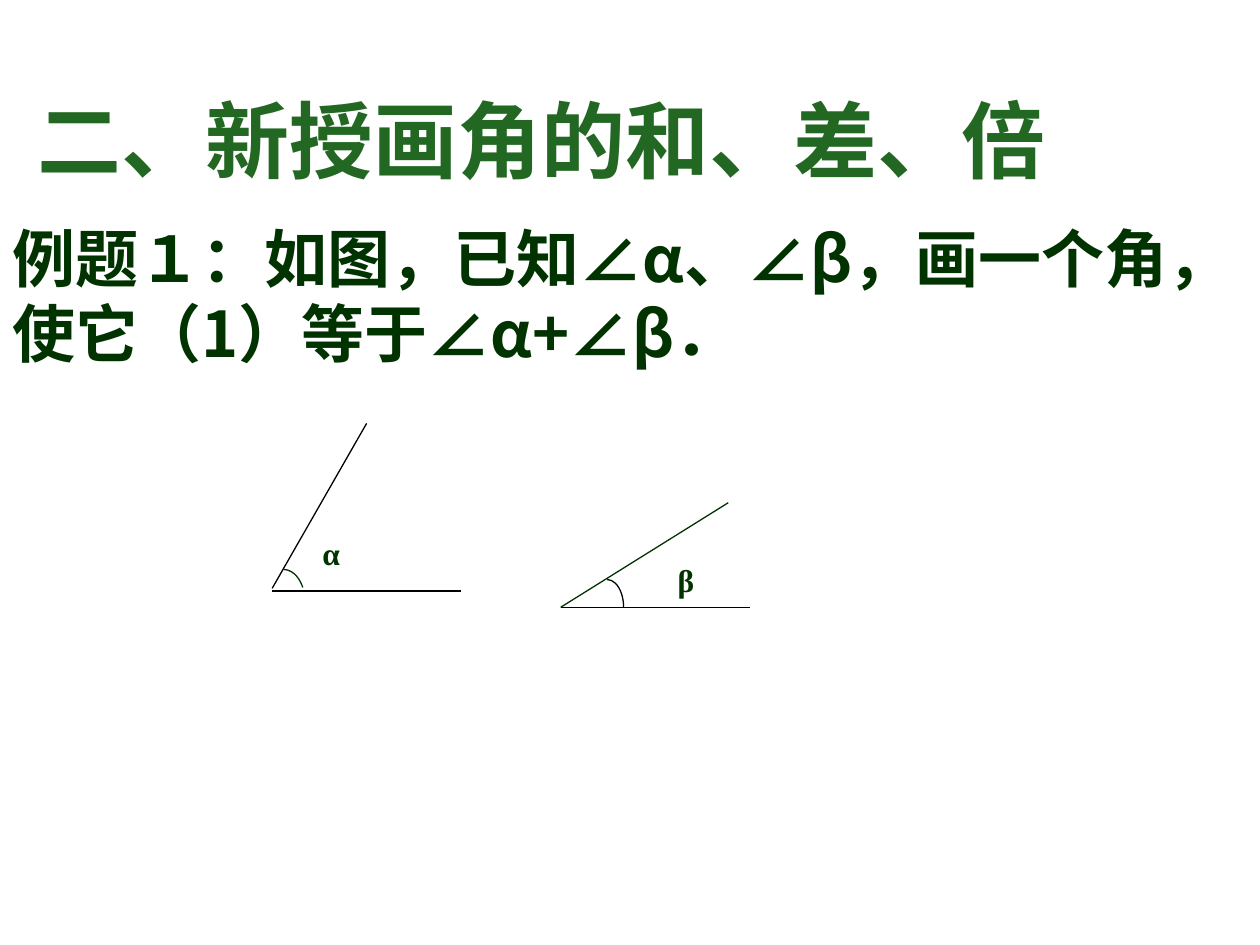
"""Build a lesson slide on drawing the sum of two angles."""
from pptx import Presentation
from pptx.dml.color import RGBColor
from pptx.enum.shapes import MSO_CONNECTOR as Conn, MSO_SHAPE as Kind
from pptx.enum.text import MSO_ANCHOR as Anchor, MSO_AUTO_SIZE as Fit, PP_ALIGN as Align
from pptx.oxml.ns import qn
from pptx.util import Inches, Pt


def tint(color, code):
    color.rgb = RGBColor.from_string(code)


def write(shape, text, size, face, code, align, anchor):
    frame = shape.text_frame
    traits = {"word_wrap": True, "auto_size": Fit.NONE, "vertical_anchor": anchor}
    for name, value in traits.items():
        setattr(frame, name, value)
    para = frame.paragraphs[0]
    para.alignment = align
    run = para.add_run()
    run.text = text
    for name, value in {"size": Pt(size), "name": face, "bold": True}.items():
        setattr(run.font, name, value)
    tint(run.font.color, code)
    east = run.font._element.makeelement(qn("a:ea"), {"typeface": face})
    run.font._element.find(qn("a:latin")).addnext(east)


deck = Presentation()
deck.slide_width, deck.slide_height = Inches(10), Inches(7.5)
slide = deck.slides.add_slide(deck.slide_layouts[5])
shapes = slide.shapes

title = shapes.title
place = {"left": 0.2, "top": 0.6, "width": 10, "height": 1}
for name, value in place.items():
    setattr(title, name, Inches(value))
write(title, "二、新授画角的和、差、倍", 48, "DejaVu Sans", "226822",
      Align.LEFT, Anchor.MIDDLE)

task = shapes.add_textbox(0, Inches(1.7), Inches(10), Inches(1.28))
write(task, "例题１：如图，已知∠α、∠β，画一个角，使它（1）等于∠α+∠β．",
      36, "Noto Sans CJK SC", "003300", Align.LEFT, Anchor.MIDDLE)

BLACK, GREEN = "000000", "003300"
angles = [
    {"sign": "β", "label": (5.28, 4.4, 0.5, 0.43),
     "rays": [((4.45, 4.82), (5.95, 4.82), BLACK), ((5.78, 3.99), (4.45, 4.82), GREEN)],
     "arc": (4.82, 4.82, 0.13, 0.22), "end": 0, "ink": BLACK},
    {"sign": "α", "label": (2.46, 4.19, 0.37, 0.38),
     "rays": [((2.16, 4.69), (3.66, 4.69), BLACK), ((2.16, 4.67), (2.91, 3.36), BLACK)],
     "arc": (2.25, 4.77, 0.17, 0.25), "end": 325, "ink": GREEN},
]
for angle in angles:
    label = shapes.add_shape(Kind.RECTANGLE, *map(Inches, angle["label"]))
    label.shadow.inherit = False
    label.fill.solid()
    tint(label.fill.fore_color, "FFFFFF")
    tint(label.line.color, "FFFFFF")
    label.line.width = Pt(0.75)
    write(label, angle["sign"], 18, "Times New Roman", GREEN, Align.JUSTIFY, Anchor.TOP)

    for start, stop, ink in angle["rays"]:
        ray = shapes.add_connector(Conn.STRAIGHT, *map(Inches, start + stop))
        ray.line.width = Pt(0.75)
        tint(ray.line.color, ink)
        props = ray._element.spPr
        props.append(props.makeelement(qn("a:effectLst"), {}))

    x, y, wide, high = angle["arc"]
    arc = shapes.add_shape(Kind.ARC, *map(Inches, (x - wide, y - high, 2 * wide, 2 * high)))
    arc.shadow.inherit = False
    arc.fill.background()
    arc.line.width = Pt(0.75)
    tint(arc.line.color, angle["ink"])
    arc.adjustments[1] = angle["end"] * 0.6

deck.save("out.pptx")
